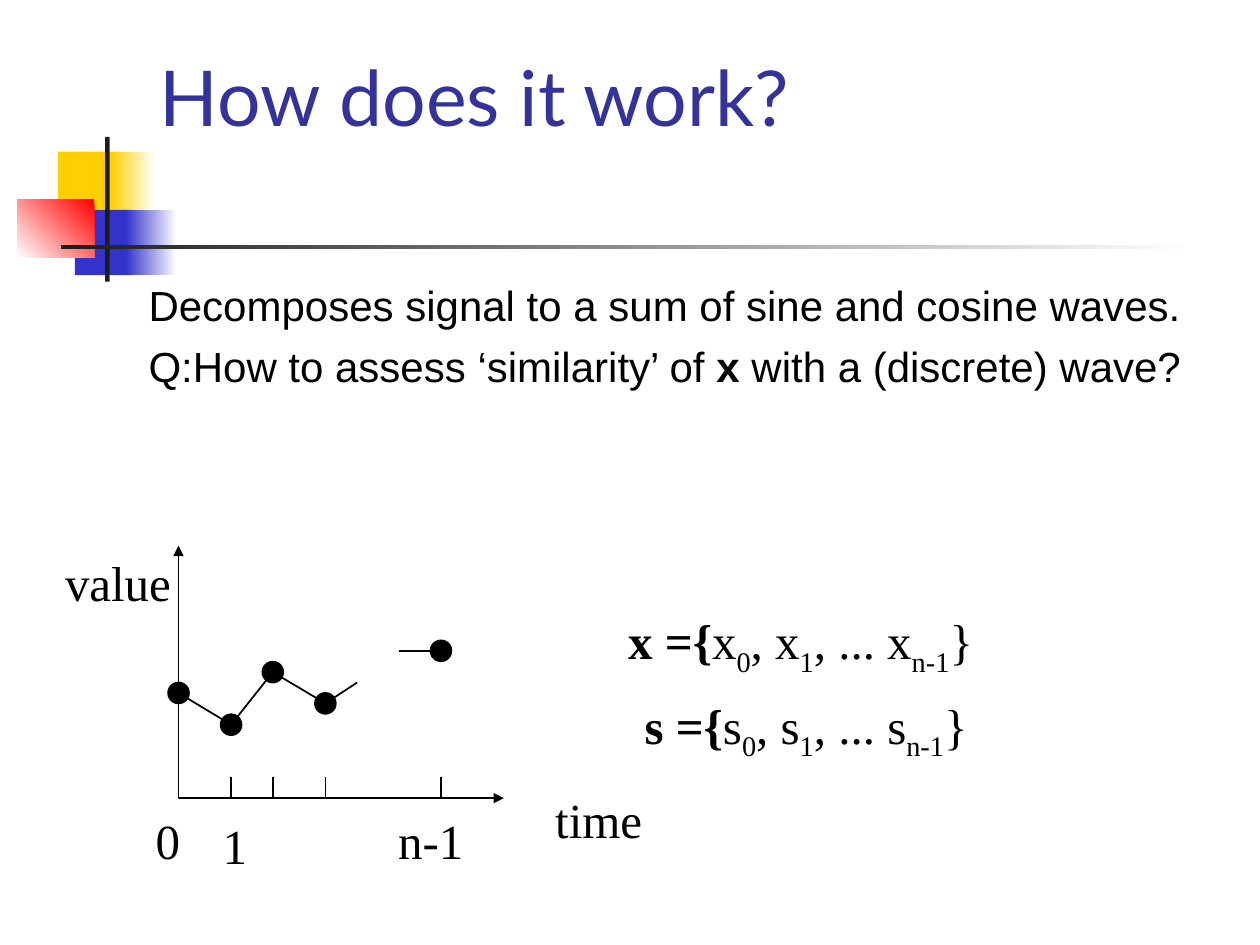
from lxml import etree
from pptx import Presentation
from pptx.dml.color import RGBColor
from pptx.enum import shapes, text
from pptx.oxml import ns
from pptx.util import Cm, Pt

BLACK = RGBColor(0x00, 0x00, 0x00)
WHITE = RGBColor(0xFF, 0xFF, 0xFF)
CHARCOAL = RGBColor(0x1C, 0x1C, 0x1C)
YELLOW = RGBColor(0xFF, 0xCF, 0x01)
BLUE = RGBColor(0x33, 0x33, 0xCC)
RED = RGBColor(0xFF, 0x00, 0x00)
TITLE_BLUE = RGBColor(0x33, 0x33, 0x99)

ORIGIN_X, AXIS_Y = 3.6, 16.09
SAMPLES = [(ORIGIN_X, 13.97), (4.66, 14.61), (5.5, 13.55), (6.56, 14.18)]
LAST_SAMPLE = (8.89, 13.12)
DOT = 0.42
TICK = 0.42


def add_block(page, left, top, width, height, colors, angle=180):
    """Draw a borderless rectangle, solid for one colour or a gradient for two."""
    block = page.shapes.add_shape(
        shapes.MSO_SHAPE.RECTANGLE, Cm(left), Cm(top), Cm(width), Cm(height))
    block.shadow.inherit = False
    block.line.fill.background()
    if len(colors) == 1:
        block.fill.solid()
        block.fill.fore_color.rgb = colors[0]
        return
    block.fill.gradient()
    block.fill.gradient_angle = angle
    for stop, color in zip(block.fill.gradient_stops, colors):
        stop.color.rgb = color


def add_decoration(page):
    add_block(page, 1.17, 3.06, 1.22, 1.32, [YELLOW])
    add_block(page, 2.22, 3.06, 0.91, 1.32, [WHITE, YELLOW])
    add_block(page, 1.51, 4.23, 1.17, 1.32, [BLUE])
    add_block(page, 2.54, 4.23, 1.02, 1.32, [WHITE, BLUE])
    add_block(page, 0.35, 4.02, 1.55, 1.17, [RED, WHITE], angle=225)
    add_block(page, 2.12, 2.76, 0.09, 2.92, [CHARCOAL])
    add_block(page, 1.23, 4.94, 22.86, 0.09, [WHITE, CHARCOAL])


def style_line(line):
    line.color.rgb = BLACK
    line.width = Pt(1)


def add_line(page, start, end):
    line = page.shapes.add_connector(
        shapes.MSO_CONNECTOR.STRAIGHT, *(Cm(value) for value in (*start, *end)))
    style_line(line.line)
    etree.SubElement(line._element.spPr, ns.qn("a:effectLst"))


def add_polyline(page, points, arrows=False):
    corners = [(Cm(x), Cm(y)) for x, y in points]
    builder = page.shapes.build_freeform(*corners[0])
    builder.add_line_segments(corners[1:], close=False)
    polyline = builder.convert_to_shape()
    polyline.shadow.inherit = False
    polyline.fill.background()
    style_line(polyline.line)
    if arrows:
        outline = polyline.line._get_or_add_ln()
        for end in ("a:headEnd", "a:tailEnd"):
            etree.SubElement(outline, ns.qn(end), type="triangle")


def add_dot(page, x, y):
    dot = page.shapes.add_shape(
        shapes.MSO_SHAPE.OVAL, Cm(x - DOT / 2), Cm(y - DOT / 2), Cm(DOT), Cm(DOT))
    dot.shadow.inherit = False
    dot.fill.solid()
    dot.fill.fore_color.rgb = BLACK
    style_line(dot.line)


def add_span(para, words, font, size, color=BLACK, bold=False, subscript=False):
    span = para.add_run()
    span.text = words
    span.font.name = font
    span.font.size = Pt(size)
    span.font.color.rgb = color
    span.font.bold = bold
    if subscript:
        span._r.get_or_add_rPr().set("baseline", "-25000")


def add_label(page, left, top, width, height=1.45):
    """Add an empty centred one-line box and return its paragraph."""
    box = page.shapes.add_textbox(Cm(left), Cm(top), Cm(width), Cm(height))
    frame = box.text_frame
    frame.word_wrap = False
    frame.auto_size = text.MSO_AUTO_SIZE.SHAPE_TO_FIT_TEXT
    frame.vertical_anchor = text.MSO_ANCHOR.MIDDLE
    para = frame.paragraphs[0]
    para.alignment = text.PP_ALIGN.CENTER
    return para


def add_sequence(page, name, left, top, width):
    """Write the sequence as name ={name0, name1, ... name(n-1)}."""
    para = add_label(page, left, top, width, 1.6)
    add_span(para, f"{name} ={{", "Times New Roman", 28, bold=True)
    for lead, index in (("", "0"), (", ", "1"), (", ... ", "n-1")):
        add_span(para, lead + name, "Times New Roman", 28)
        add_span(para, index, "Times New Roman", 28, subscript=True)
    add_span(para, "}", "Times New Roman", 28)


def place(holder, left, top, width, height, anchor):
    holder.left, holder.top = Cm(left), Cm(top)
    holder.width, holder.height = Cm(width), Cm(height)
    frame = holder.text_frame
    frame.word_wrap = True
    frame.auto_size = text.MSO_AUTO_SIZE.NONE
    frame.vertical_anchor = anchor
    return frame


def fill_title(page):
    frame = place(page.shapes.title, 2.97, 0.85, 21.64, 2.13, text.MSO_ANCHOR.BOTTOM)
    para = frame.paragraphs[0]
    para.alignment = text.PP_ALIGN.LEFT
    add_span(para, "How does it work?", "Lato", 44, TITLE_BLUE)


def fill_body(page):
    frame = place(page.placeholders[1], 2.74, 5.51, 21.79, 11.43, text.MSO_ANCHOR.TOP)
    lines = [
        [("Decomposes signal to a sum of sine and cosine waves.", False)],
        [("Q:How to assess ‘similarity’ of ", False), ("x", True),
         (" with a (discrete) wave?", False)],
    ]
    for number, spans in enumerate(lines):
        para = frame.add_paragraph() if number else frame.paragraphs[0]
        properties = para._p.get_or_add_pPr()
        properties.set("marL", str(Cm(0.95)))
        properties.set("indent", str(-Cm(0.95)))
        etree.SubElement(properties, ns.qn("a:buNone"))
        para.space_before = Pt(6 if number else 0)
        for words, bold in spans:
            add_span(para, words, "Arial", 24, bold=bold)


def add_signal_plot(page):
    add_polyline(page, [(ORIGIN_X, 11), (ORIGIN_X, AXIS_Y), (10.16, AXIS_Y)], arrows=True)
    add_polyline(page, SAMPLES + [(7.2, 13.76)])
    add_line(page, (8.04, LAST_SAMPLE[1]), LAST_SAMPLE)
    for x, y in SAMPLES + [LAST_SAMPLE]:
        add_dot(page, x, y)
        if x != ORIGIN_X:
            add_line(page, (x, AXIS_Y), (x, AXIS_Y - TICK))
    for words, left, top, width in (
            ("0", 2.89, 16.2, 0.99), ("1", 4.24, 16.3, 0.99),
            ("n-1", 7.77, 16.2, 1.83), ("time", 10.94, 15.79, 2.26),
            ("value", 1.06, 11, 2.64)):
        add_span(add_label(page, left, top, width), words, "Times New Roman", 28)


def main():
    deck = Presentation()
    deck.slide_width, deck.slide_height = Cm(25.4), Cm(19.05)
    page = deck.slides.add_slide(deck.slide_layouts[1])
    add_decoration(page)
    fill_title(page)
    fill_body(page)
    add_signal_plot(page)
    add_sequence(page, "x", 12.14, 12.19, 8)
    add_sequence(page, "s", 12.25, 13.89, 8)
    deck.save("out.pptx")


if __name__ == "__main__":
    main()
